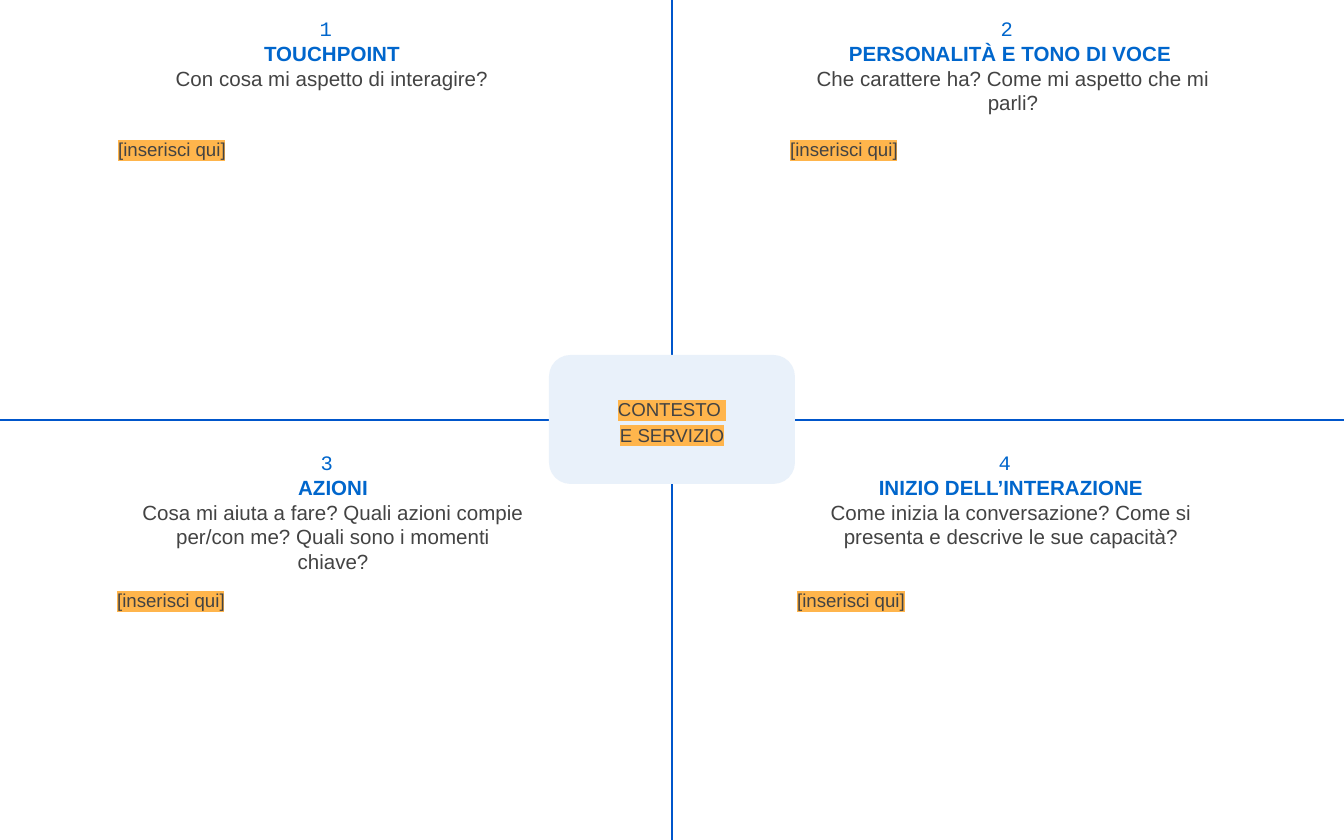
import pptx
import pptx.util
import pptx.dml.color
import pptx.enum.shapes
import pptx.enum.text
import pptx.oxml.ns
import lxml.etree

RGB = pptx.dml.color.RGBColor
ALIGN = pptx.enum.text.PP_ALIGN
ANCHOR = pptx.enum.text.MSO_ANCHOR
LINE = RGB(0x00, 0x56, 0xCB)
BLUE = RGB(0x00, 0x66, 0xCC)
GREY = RGB(0x43, 0x43, 0x43)
PALE = RGB(0xE9, 0xF1, 0xFA)
MARK = RGB(0xFF, 0xB5, 0x4C)
PX = 9144000 / 1344
WIDE, HIGH = 1344, 840
qn = pptx.oxml.ns.qn


def px(*sizes):
    return [round(size * PX) for size in sizes]


def add_text(box, lines, styles, align, anchor=ANCHOR.TOP, space=None):
    """Add one paragraph per line; a style is (font, points, colour, bold, highlight)."""
    frame = slide.shapes.add_textbox(*px(*box)).text_frame
    frame.word_wrap = True
    frame.vertical_anchor = anchor
    frame.margin_left = frame.margin_right = pptx.util.Inches(0.1)
    frame.margin_top = frame.margin_bottom = pptx.util.Inches(0.1)
    frame.text = "\n".join(lines)
    for para, (face, size, color, bold, mark) in zip(frame.paragraphs, styles):
        para.alignment = align
        para.line_spacing = space
        font = para.runs[0].font
        font.name, font.size, font.bold = face, pptx.util.Pt(size), bold
        font.color.rgb = color
        if mark:
            light = lxml.etree.Element(qn("a:highlight"))
            lxml.etree.SubElement(light, qn("a:srgbClr")).set("val", str(mark))
            para.runs[0]._r.rPr.find(qn("a:solidFill")).addnext(light)


deck = pptx.Presentation()
deck.slide_width, deck.slide_height = px(WIDE, HIGH)
slide = deck.slides.add_slide(deck.slide_layouts[6])

# Axes
midx, midy = WIDE // 2, HIGH // 2
for ends in [(midx, 0, midx, HIGH), (0, midy, WIDE, midy)]:
    axis = slide.shapes.add_connector(
        pptx.enum.shapes.MSO_CONNECTOR.STRAIGHT, *px(*ends))
    axis.line.color.rgb = LINE
    axis.line.width = pptx.util.Pt(1)
    lxml.etree.SubElement(axis._element.spPr, qn("a:effectLst"))

# Quadrants: heading box, number, title, question, note left and top
HEAD = [("Courier New", 11, BLUE, False, None),
        ("Arial", 11, BLUE, True, None),
        ("Arial", 11, GREY, False, None)]
NOTE = ("Arial", 10, GREY, False, MARK)
quads = [
    ((152, 3, 360, 91), "1 ", "TOUCHPOINT",
     "Con cosa mi aspetto di interagire?", (105, 122)),
    ((792, 3, 442, 91), "2 ", "PERSONALITÀ E TONO DI VOCE ",
     "Che carattere ha? Come mi aspetto che mi parli?", (777, 122)),
    ((128, 437, 410, 91), "3 ", "AZIONI",
     "Cosa mi aiuta a fare? Quali azioni compie per/con me? "
     "Quali sono i momenti chiave?", (104, 573)),
    ((806, 437, 410, 91), "4 ", "INIZIO DELL’INTERAZIONE",
     "Come inizia la conversazione? Come si presenta e descrive "
     "le sue capacità?", (784, 573)),
]
for box, number, title, question, spot in quads:
    add_text(box, [number, title, question], HEAD, ALIGN.CENTER)
    add_text((*spot, 456, 218), ["[inserisci qui]"], [NOTE], ALIGN.LEFT, space=1.15)

# Centre card
card = slide.shapes.add_shape(
    pptx.enum.shapes.MSO_SHAPE.ROUNDED_RECTANGLE, *px(549, 355, 246, 129))
card.shadow.inherit = False
card.fill.solid()
card.fill.fore_color.rgb = PALE
card.line.fill.background()
add_text((549, 367, 246, 107), ["CONTESTO ", "E SERVIZIO"], [NOTE] * 2,
         ALIGN.CENTER, ANCHOR.MIDDLE, 1.15)

deck.save("out.pptx")
